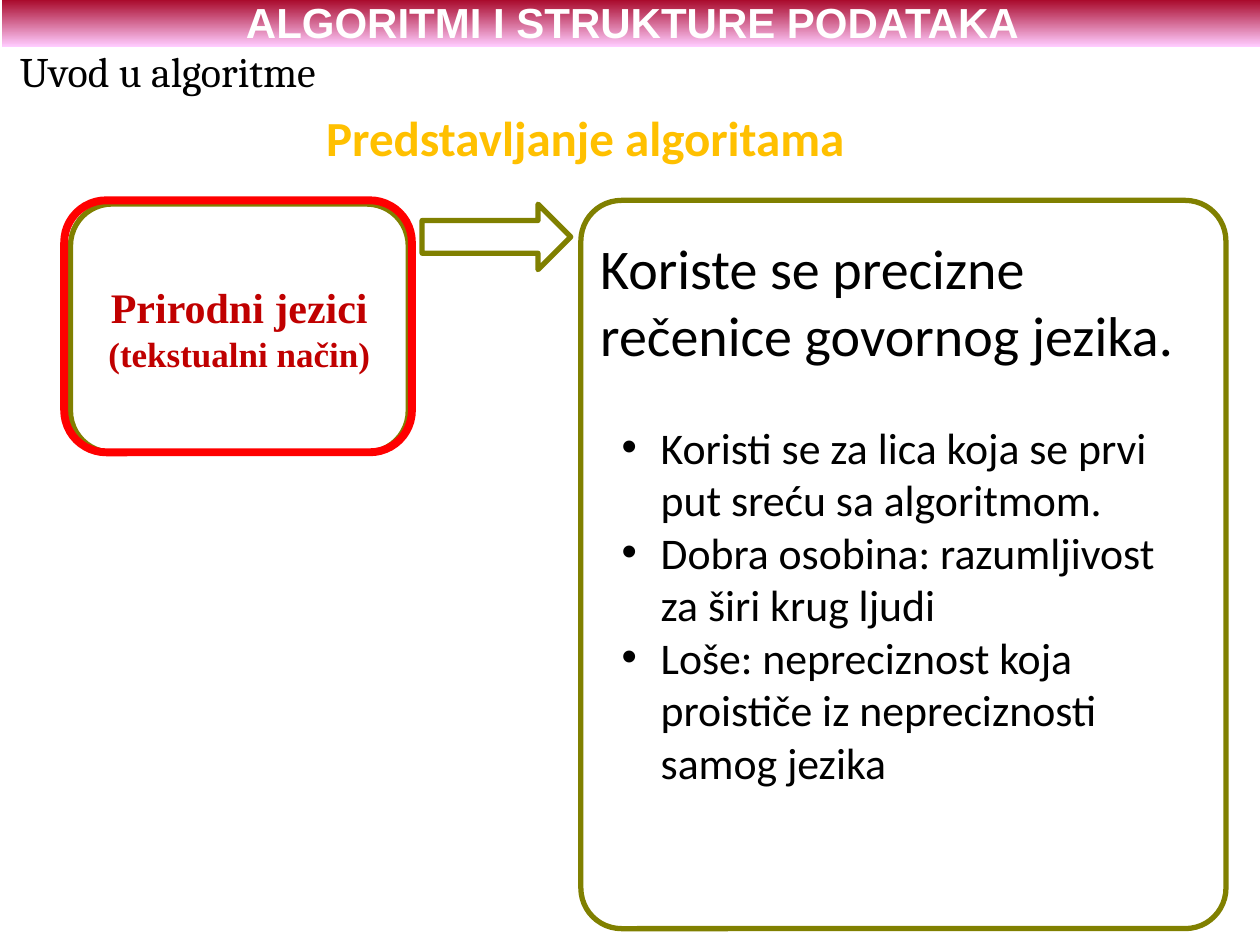
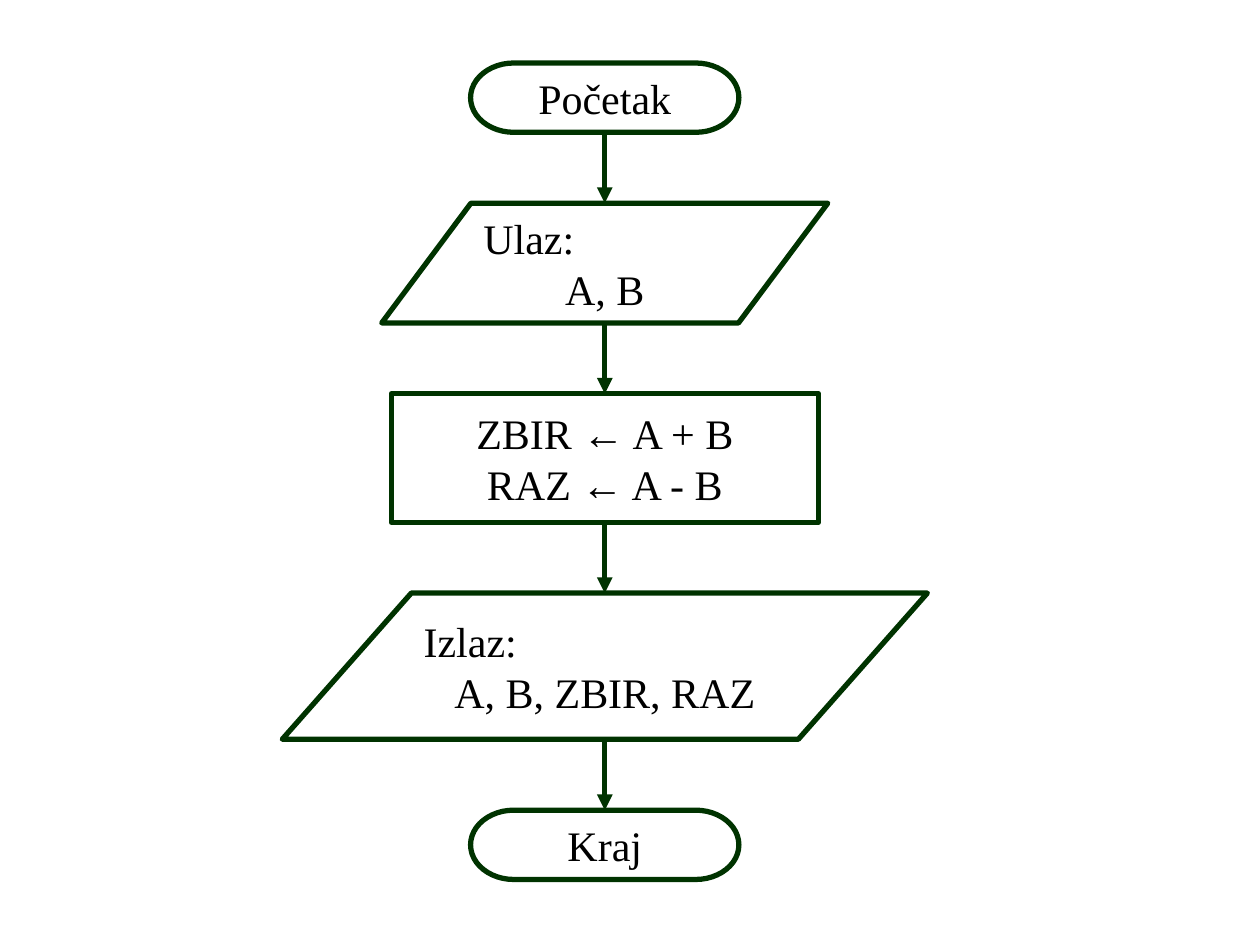
from lxml import etree
from pptx import Presentation
from pptx.dml.color import RGBColor
from pptx.enum.shapes import MSO_CONNECTOR as Link, MSO_SHAPE as Kind
from pptx.enum.text import MSO_ANCHOR as Anchor, MSO_AUTO_SIZE as Fit, PP_ALIGN as Align
from pptx.oxml.ns import qn
from pptx.util import Inches, Pt

COLS, ROWS = 100, 75
CELL = Inches(0.1)
OLIVE, GREEN, RED = "808000", "003300", "FF0000"
BLACK, WHITE = "000000", "FFFFFF"
SERIF, SANS = "Times New Roman", "Calibri"
GAP = 5.6


def tint(code):
    """Turn a hex string into a colour."""
    return RGBColor.from_string(code)


def cells(*nums):
    """Turn grid counts into lengths."""
    return [round(n * CELL) for n in nums]


def bullet(para, left=0.48, hang=0.31):
    """Give a paragraph a hanging round bullet."""
    props = para._p.get_or_add_pPr()
    props.set("marL", str(Inches(left)))
    props.set("indent", str(-Inches(hang)))
    etree.SubElement(props, qn("a:buFont")).set("typeface", "Arial")
    etree.SubElement(props, qn("a:buChar")).set("char", "•")


def write(shape, *lines, font=SERIF, size=24, color=BLACK, bold=False,
          align=Align.CENTER, anchor=Anchor.MIDDLE, wrap=True, pad=(0.1, 0.05, 0.1, 0.05)):
    """Fill a shape with lines, each a string or a string with its own format."""
    frame = shape.text_frame
    frame.auto_size = Fit.NONE
    frame.word_wrap = wrap
    frame.vertical_anchor = anchor
    (frame.margin_left, frame.margin_top,
     frame.margin_right, frame.margin_bottom) = map(Inches, pad)
    for i, line in enumerate(lines):
        words, own = (line, {}) if isinstance(line, str) else line
        para = frame.add_paragraph() if i else frame.paragraphs[0]
        if own.get("dot"):
            bullet(para)
        para.alignment = own.get("align", align)
        para.space_before = Pt(own.get("before", 0))
        run = para.add_run()
        run.text = words
        run.font.name, run.font.bold = font, bold
        run.font.size = Pt(own.get("size", size))
        run.font.color.rgb = tint(color)


def draw(slide, kind, box, line=None, width=3, fill=None, adj=()):
    """Add a preset shape on the grid."""
    shape = slide.shapes.add_shape(kind, *cells(*box))
    shape.shadow.inherit = False
    for i, part in enumerate(adj):
        shape.adjustments[i] = part
    if fill:
        shape.fill.solid()
        shape.fill.fore_color.rgb = tint(fill)
    else:
        shape.fill.background()
    if line:
        shape.line.color.rgb = tint(line)
        shape.line.width = Pt(width)
    else:
        shape.line.fill.background()
    return shape


def band(slide, box):
    """Draw the course band and the chapter name under it."""
    x, y, w, h = box
    bar = draw(slide, Kind.RECTANGLE, box)
    bar.fill.gradient()
    bar.fill.gradient_angle = 270
    for stop, code, place in zip(bar.fill.gradient_stops, ("A50021", "FFCCFF"), (0, 1)):
        stop.color.rgb, stop.position = tint(code), place
    write(bar, "ALGORITMI I STRUKTURE PODATAKA", font="Arial", color=WHITE, bold=True)
    note = slide.shapes.add_textbox(*cells(x + 0.4, y + h - 0.6, 25.6, 5))
    write(note, "Uvod u algoritme", font="Cambria", align=Align.LEFT,
          anchor=Anchor.TOP, wrap=False)


def head(slide, box):
    """Place and format the title."""
    title = slide.shapes.title
    title.left, title.top, title.width, title.height = cells(*box)
    write(title, "Predstavljanje algoritama", font=SANS, size=28, color="FFC000", bold=True)


def topic(slide, box):
    """Draw the framed topic with the arrow leading out of it."""
    x, y, w, h = box
    card = draw(slide, Kind.ROUNDED_RECTANGLE, (x + 0.5, y + 0.3, w - 0.8, h - 0.3),
                OLIVE, fill=WHITE, adj=[0.167])
    write(card, "Prirodni jezici", ("(tekstualni način)", {"size": 20}),
          color="C00000", bold=True)
    draw(slide, Kind.ROUNDED_RECTANGLE, box, RED, 4.5, adj=[0.167])
    draw(slide, Kind.RIGHT_ARROW, (x + w + 0.8, y + 0.3, 11.8, 5.2), OLIVE, adj=[0.5, 0.5])


def panel(slide, box):
    """Draw the panel with the statement and its points."""
    pane = draw(slide, Kind.ROUNDED_RECTANGLE, box, OLIVE, adj=[0.063])
    points = ("Koristi se za lica koja se prvi put sreću sa algoritmom.",
              "Dobra osobina: razumljivost za širi krug ljudi",
              "Loše: nepreciznost koja proističe iz nepreciznosti samog jezika")
    dots = [(words, {"dot": True, "size": 25, "before": 0 if i else 30})
            for i, words in enumerate(points)]
    write(pane, "Koriste se precizne rečenice govornog jezika.", *dots,
          font=SANS, size=32, align=Align.LEFT, pad=(0.06, 0.05, 0.1, 0.9))


def arrow(slide, above, below):
    """Join two steps with an arrow, gluing it to those with upright sides."""
    mid = above.left + above.width // 2
    wire = slide.shapes.add_connector(Link.STRAIGHT, mid, above.top + above.height,
                                      mid, below.top)
    if above.auto_shape_type != Kind.FLOWCHART_DATA:
        wire.begin_connect(above, 2)
    if below.auto_shape_type != Kind.FLOWCHART_DATA:
        wire.end_connect(below, 0)
    wire.line.color.rgb = tint(GREEN)
    wire.line.width = Pt(3)
    etree.SubElement(wire.line._get_or_add_ln(), qn("a:tailEnd")).set("type", "triangle")
    etree.SubElement(wire._element.spPr, qn("a:effectLst"))


def flow(slide, box):
    """Stack the steps of the chart down the middle of a box."""
    x, y, w, h = box
    left = {"align": Align.LEFT}
    steps = (
        (Kind.FLOWCHART_TERMINATOR, 21.3, 5.5, ["Početak"]),
        (Kind.FLOWCHART_DATA, 35.4, 9.5, [("Ulaz:", left), "A, B"]),
        (Kind.FLOWCHART_PROCESS, 33.9, 10.2, ["ZBIR ← A + B", "RAZ ← A - B"]),
        (Kind.FLOWCHART_DATA, w, 11.6, [("Izlaz:", left), "A, B, ZBIR, RAZ"]),
        (Kind.FLOWCHART_TERMINATOR, 21.3, 5.5, ["Kraj"]),
    )
    gap = (h - sum(step[2] for step in steps)) / (len(steps) - 1)
    last = None
    for kind, wide, tall, lines in steps:
        shape = draw(slide, kind, (x + (w - wide) / 2, y, wide, tall), GREEN)
        write(shape, *lines)
        if last:
            arrow(slide, last, shape)
        last = shape
        y += tall + gap


def main():
    """Build both slides and save them."""
    deck = Presentation()
    deck.slide_width, deck.slide_height = cells(COLS, ROWS)
    first = deck.slides.add_slide(deck.slide_layouts[5])
    topic(first, (5.1, 15.9, 27.6, 20))
    panel(first, (46.1, 15.9, 51.2, 57.8))
    head(first, (0, 7.6, 92.9, 6.5))
    band(first, (0.2, -0.2, COLS, 3.9))
    second = deck.slides.add_slide(deck.slide_layouts[6])
    flow(second, (22.4, 5, 51.2, 64.8))
    deck.save("out.pptx")


if __name__ == "__main__":
    main()
